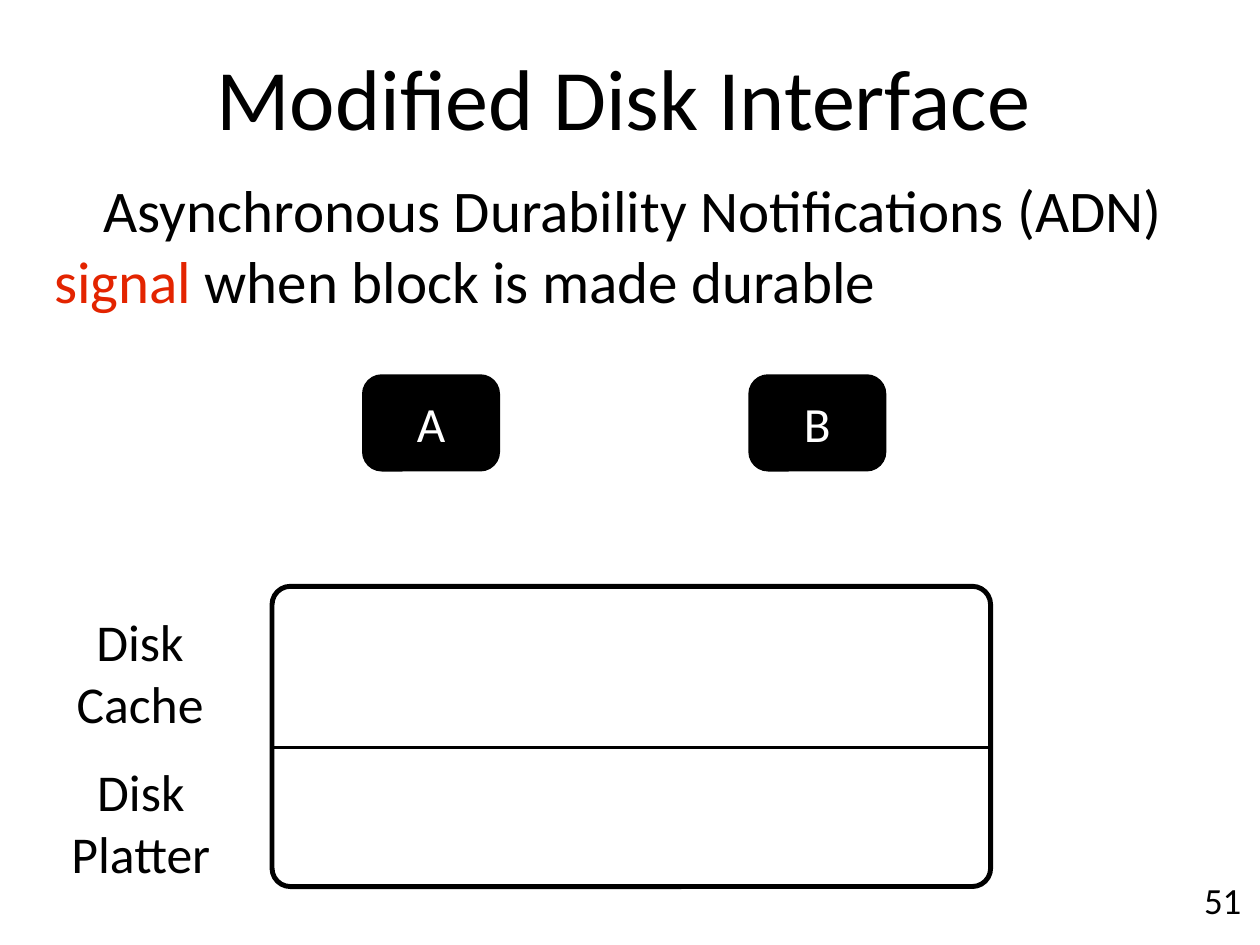
from pptx import Presentation
from pptx import util as u
from pptx.dml.color import RGBColor
from pptx.enum import shapes, text
from pptx.oxml import parse_xml
from pptx.oxml.ns import nsdecls

BLACK, WHITE, RED = "000000", "FFFFFF", "E32400"
TITLE = "Modified Disk Interface"
BODY = [
    ("Asynchronous Durability Notifications (ADN) ", BLACK),
    ("signal", RED),
    (" when block is made durable", BLACK),
]
BLOCKS = [("A", 4.1), ("B", 8.46)]
BLOCK_TOP, BLOCK_W, BLOCK_H = 4.24, 1.53, 1.07
DISK_X, DISK_Y, DISK_W, DISK_H = 3.07, 6.62, 8.11, 3.39
DIVIDER_Y = 8.44
LABELS = [(["Disk", "Cache"], 0.69, 6.85, 1.78), (["Disk", "Platter"], 0.66, 8.55, 1.86)]
LABEL_H = 1.47
PAGE = "51"

prs = Presentation()
prs.slide_width, prs.slide_height = u.Inches(14.22), u.Inches(10.67)
s = prs.slides.add_slide(prs.slide_layouts[1])


def color(value):
    return RGBColor.from_string(value)


def inches(*values):
    return [u.Inches(v) for v in values]


def place(sp, *box):
    sp.left, sp.top, sp.width, sp.height = inches(*box)


def write(sp, paragraphs, size, fill=BLACK, align=text.PP_ALIGN.CENTER,
          anchor=text.MSO_ANCHOR.MIDDLE, inset=0.06, wrap=True, indent=None):
    tf = sp.text_frame
    tf.auto_size = text.MSO_AUTO_SIZE.NONE
    tf.word_wrap, tf.vertical_anchor = wrap, anchor
    tf.margin_left = tf.margin_right = tf.margin_top = tf.margin_bottom = u.Inches(inset)
    for i, runs in enumerate(paragraphs):
        p = tf.paragraphs[0] if i == 0 else tf.add_paragraph()
        p.alignment, p.space_before = align, u.Pt(0)
        if indent is not None:
            pPr = p._p.get_or_add_pPr()
            pPr.set("marL", "0")
            pPr.set("indent", str(u.Inches(indent)))
            pPr.append(parse_xml(f"<a:buNone {nsdecls('a')}/>"))
        for words, c in [(runs, fill)] if isinstance(runs, str) else runs:
            r = p.add_run()
            r.text = words
            r.font.size, r.font.name = u.Pt(size), "Calibri"
            r.font.color.rgb = color(c)


def rounded(box, radius, weight, fill=None):
    sp = s.shapes.add_shape(shapes.MSO_SHAPE.ROUNDED_RECTANGLE, *inches(*box))
    sp.adjustments[0] = radius
    sp.shadow.inherit = False
    if fill:
        sp.fill.solid()
        sp.fill.fore_color.rgb = color(fill)
    else:
        sp.fill.background()
    sp.line.color.rgb, sp.line.width = color(BLACK), u.Pt(weight)
    return sp


title, body = s.shapes.title, s.placeholders[1]
place(title, 0.5, 0.26, 13.07, 1.65)
write(title, [TITLE], 70)
place(body, 0.58, 1.74, 13.07, 2.03)
write(body, [BODY], 48, align=text.PP_ALIGN.LEFT, inset=0.03, indent=0.56)

number = s.shapes.add_textbox(*inches(13.53, 9.85, 0.54, 0.6))
write(number, [PAGE], 30, anchor=text.MSO_ANCHOR.TOP, wrap=False)

rounded((DISK_X, DISK_Y, DISK_W, DISK_H), 0.061, 4)
for name, x in BLOCKS:
    write(rounded((x, BLOCK_TOP, BLOCK_W, BLOCK_H), 0.195, 2, BLACK), [name], 40, WHITE)

divider = s.shapes.add_connector(
    shapes.MSO_CONNECTOR.STRAIGHT, *inches(DISK_X, DIVIDER_Y, DISK_X + DISK_W, DIVIDER_Y))
divider.line.color.rgb, divider.line.width = color(BLACK), u.Pt(3)
divider._element.spPr.append(parse_xml(f"<a:effectLst {nsdecls('a')}/>"))

for lines, x, y, w in LABELS:
    write(s.shapes.add_textbox(*inches(x, y, w, LABEL_H)), lines, 42, wrap=False)

prs.save("out.pptx")
